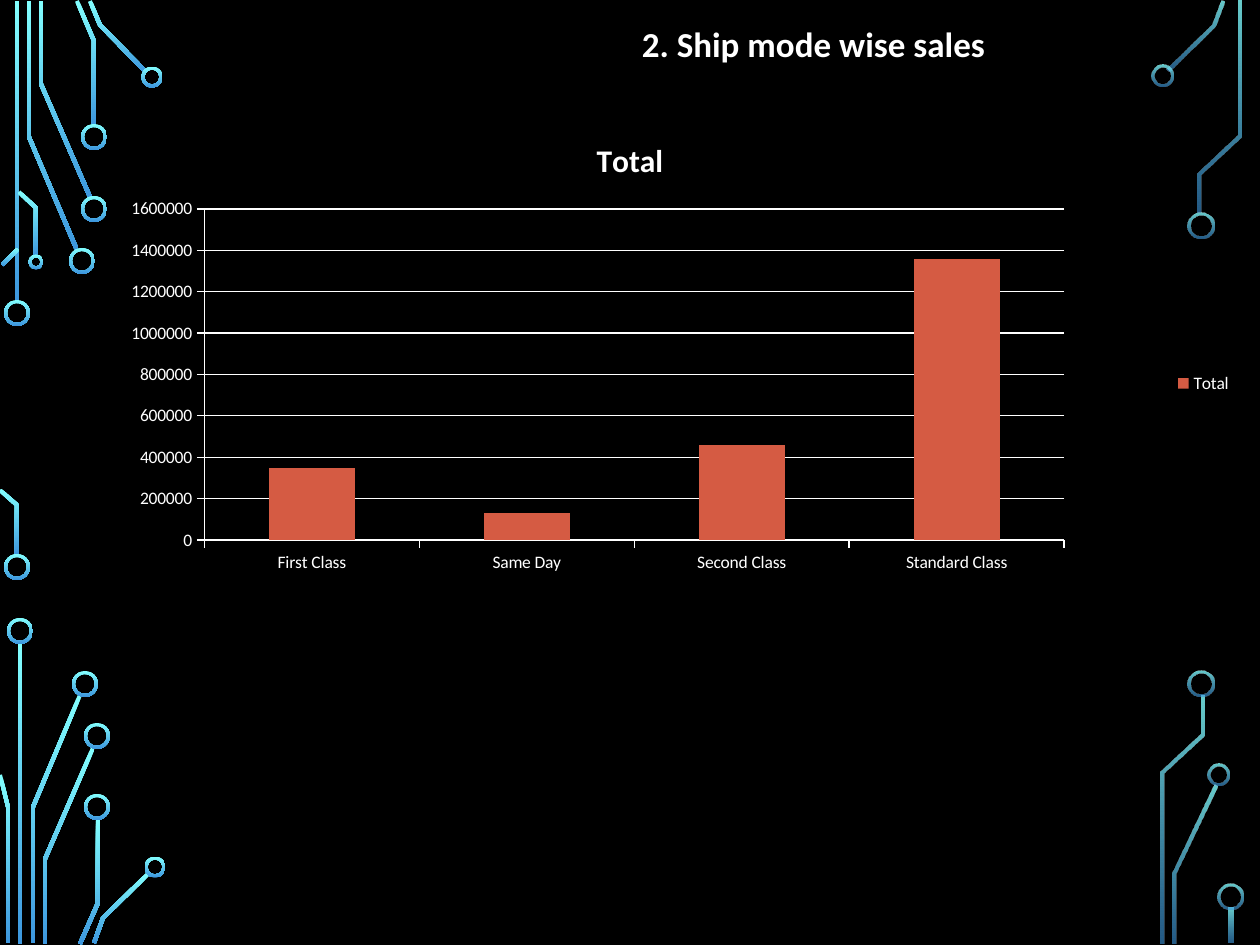
import math
from dataclasses import dataclass

import lxml.etree
import pptx
import pptx.chart.data
import pptx.dml.color
import pptx.enum.chart
import pptx.enum.shapes
import pptx.enum.text
import pptx.oxml
import pptx.oxml.ns
import pptx.util

PX = 914400 / 126  # EMU in one px


@dataclass(frozen=True)
class Theme:
    font: str = "Calibri"
    background: str = "000000"
    text: str = "FFFFFF"
    bar: str = "D55B43"
    trace_top: str = "82FFFF"
    trace_bottom: str = "3D97DE"
    heading_size: int = 20
    chart_title_size: int = 18
    label_size: int = 10
    trace_width: int = 4
    ring_width: int = 3


THEME = Theme()
OPAQUE = (100, 100)
FADED = (80, 60)

# Centre lines of the traces, and rings as (centre x, centre y, diameter)
LEFT_TRACES = [
    [(17, 1), (17, 302)],
    [(29, 1), (29, 137), (77, 250)],
    [(41, 1), (41, 84), (90, 197)],
    [(77, 1), (94, 41), (94, 126)],
    [(90, 1), (100, 25), (146, 72)],
    [(2, 265), (18, 249)],
    [(19, 192), (36, 208), (36, 256)],
    [(0, 490), (17, 505), (17, 555)],
    [(20, 642), (20, 944)],
    [(0, 775), (8, 807), (8, 943)],
    [(33, 943), (33, 807), (80, 695)],
    [(45, 944), (45, 859), (93, 748)],
    [(98, 819), (98, 903), (80, 944)],
    [(94, 943), (103, 918), (149, 873)],
]
LEFT_RINGS = [
    (17, 313, 26), (82, 261, 26), (94, 209, 26), (94, 137, 26),
    (152, 77, 21), (36, 262, 15), (17, 567, 26), (20, 631, 26),
    (85, 684, 26), (97, 736, 26), (97, 807, 26), (155, 867, 21),
]
RIGHT_TRACES = [
    [(103, 1), (94, 25), (48, 70)],
    [(119, 1), (119, 136), (80, 174), (80, 213)],
    [(43, 944), (43, 773), (82, 735), (82, 696)],
    [(55, 944), (55, 873), (96, 785)],
    [(111, 908), (111, 943)],
]
RIGHT_RINGS = [
    (42, 76, 22), (81, 226, 26), (81, 684, 26), (98, 775, 22), (111, 897, 26),
]


def emu(px):
    return pptx.util.Emu(round(px * PX))


def rgb(value):
    return pptx.dml.color.RGBColor.from_string(value)


def style_font(font, size, bold=False):
    font.name, font.size, font.bold = THEME.font, pptx.util.Pt(size), bold
    font.color.rgb = rgb(THEME.text)


def paint_trace(shape, opacity):
    shape.shadow.inherit = False
    shape.line.fill.background()
    shape.fill.gradient()
    shape.fill.gradient_angle = 270
    colors = (THEME.trace_top, THEME.trace_bottom)
    for stop, color, position in zip(shape.fill.gradient_stops, colors, (0, 1)):
        stop.color.rgb, stop.position = rgb(color), position
    tags = shape._element.spPr.iter(pptx.oxml.ns.qn("a:srgbClr"))
    for tag, percent in zip(list(tags), opacity):
        if percent < 100:
            alpha = lxml.etree.SubElement(tag, pptx.oxml.ns.qn("a:alpha"))
            alpha.set("val", str(percent * 1000))


def trace_outline(points, width):
    """Widen a centre line into a closed outline with mitred corners."""
    normals = []
    for (x1, y1), (x2, y2) in zip(points, points[1:]):
        length = math.hypot(x2 - x1, y2 - y1)
        normals.append(((y1 - y2) / length, (x2 - x1) / length))
    befores, afters = normals[:1] + normals, normals + normals[-1:]
    near, far = [], []
    for (x, y), (ax, ay), (bx, by) in zip(points, befores, afters):
        reach = width / 2 / (1 + ax * bx + ay * by)
        dx, dy = (ax + bx) * reach, (ay + by) * reach
        near.append((x + dx, y + dy))
        far.append((x - dx, y - dy))
    return near + far[::-1]


def add_circuit(slide, box, traces, rings, opacity):
    left, top = box[:2]
    for points in traces:
        outline = [(emu(left + x), emu(top + y))
                   for x, y in trace_outline(points, THEME.trace_width)]
        builder = slide.shapes.build_freeform(*outline[0], scale=1.0)
        builder.add_line_segments(outline[1:], close=True)
        paint_trace(builder.convert_to_shape(), opacity)
    for x, y, size in rings:
        ring = slide.shapes.add_shape(
            pptx.enum.shapes.MSO_SHAPE.DONUT, emu(left + x - size / 2),
            emu(top + y - size / 2), emu(size), emu(size))
        ring.adjustments[0] = THEME.ring_width / size
        paint_trace(ring, opacity)


def add_sales_chart(slide, box):
    sales = pptx.chart.data.CategoryChartData(number_format="General")
    sales.categories = ["First Class", "Same Day", "Second Class", "Standard Class"]
    sales.add_series("Total", (350000, 130000, 460000, 1360000))
    chart = slide.shapes.add_chart(
        pptx.enum.chart.XL_CHART_TYPE.COLUMN_CLUSTERED, *map(emu, box), sales).chart
    style_font(chart.font, THEME.label_size)

    # Title and legend
    chart.has_title = True
    title = chart.chart_title.text_frame.paragraphs[0].add_run()
    title.text = "Total"
    style_font(title.font, THEME.chart_title_size, bold=True)
    chart.chart_title.include_in_layout = False
    chart.has_legend = True
    chart.legend.position = pptx.enum.chart.XL_LEGEND_POSITION.RIGHT
    chart.legend.include_in_layout = False

    # Bars
    plot = chart.plots[0]
    plot.gap_width, plot.vary_by_categories = 150, False
    bars = plot.series[0].format.fill
    bars.solid()
    bars.fore_color.rgb = rgb(THEME.bar)

    # Axes and gridlines
    chart.value_axis.has_major_gridlines = True
    chart.value_axis.minimum_scale = 0
    chart.value_axis.maximum_scale = 1600000
    chart.value_axis.major_unit = 200000
    for axis in (chart.category_axis, chart.value_axis):
        axis.major_tick_mark = pptx.enum.chart.XL_TICK_MARK.OUTSIDE
    for part in (chart.category_axis, chart.value_axis,
                 chart.value_axis.major_gridlines):
        part.format.line.color.rgb = rgb(THEME.text)
        part.format.line.width = pptx.util.Pt(0.75)

    # Fixed plot area, as fractions of the chart
    area = chart._chartSpace.chart.plotArea
    for old in area.findall(pptx.oxml.ns.qn("c:layout")):
        area.remove(old)
    settings = {"layoutTarget": "inner", "xMode": "edge", "yMode": "edge",
                "x": 0.154, "y": 0.175, "w": 0.699, "h": 0.617}
    fields = "".join(f'<c:{key} val="{value}"/>' for key, value in settings.items())
    area.insert(0, pptx.oxml.parse_xml(
        f'<c:layout {pptx.oxml.ns.nsdecls("c")}><c:manualLayout>{fields}'
        '</c:manualLayout></c:layout>'))


def add_heading(slide, box):
    heading = slide.shapes.add_textbox(*map(emu, box)).text_frame
    heading.word_wrap = True
    heading.auto_size = pptx.enum.text.MSO_AUTO_SIZE.SHAPE_TO_FIT_TEXT
    line = heading.paragraphs[0]
    line.alignment = pptx.enum.text.PP_ALIGN.CENTER
    run = line.add_run()
    run.text = "2. Ship mode wise sales"
    style_font(run.font, THEME.heading_size, bold=True)


def main():
    deck = pptx.Presentation()
    deck.slide_width, deck.slide_height = emu(1260), emu(945)
    slide = deck.slides.add_slide(deck.slide_layouts[6])
    slide.background.fill.solid()
    slide.background.fill.fore_color.rgb = rgb(THEME.background)
    add_circuit(slide, (0, 0, 165, 945), LEFT_TRACES, LEFT_RINGS, OPAQUE)
    add_circuit(slide, (1120, 0, 140, 945), RIGHT_TRACES, RIGHT_RINGS, FADED)
    add_sales_chart(slide, (15, 115, 1230, 537))
    add_heading(slide, (501, 16, 625, 55))
    deck.save("out.pptx")


if __name__ == "__main__":
    main()
